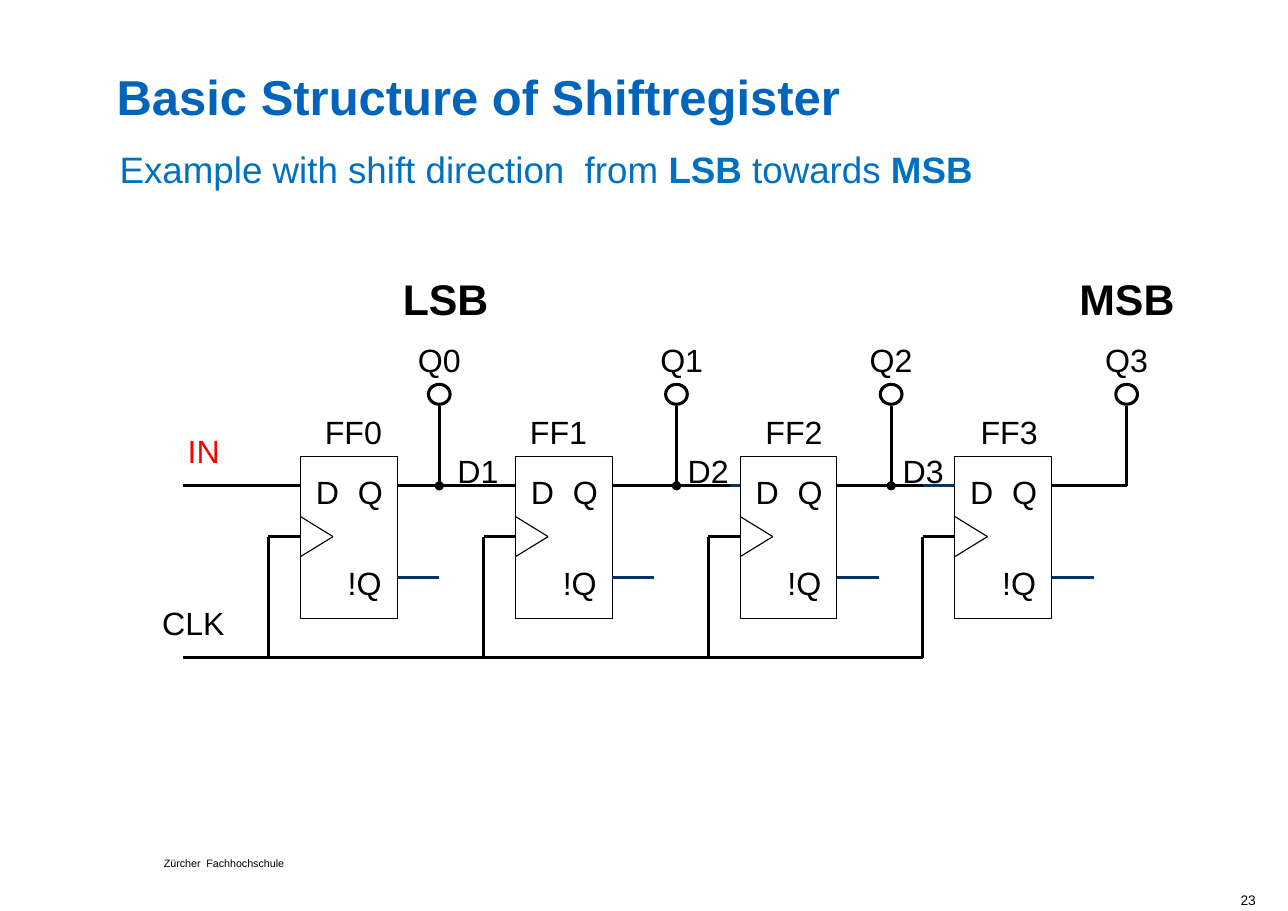
import pptx
import pptx.dml.color
import pptx.enum.shapes
import pptx.enum.text
import pptx.oxml
import pptx.oxml.ns
import pptx.util

Cm = pptx.util.Cm
Pt = pptx.util.Pt
Kind = pptx.enum.shapes.MSO_SHAPE
Align = pptx.enum.text.PP_ALIGN

HUES = {
    "black": "000000",
    "navy": "003366",
    "red": "FF0000",
    "title": "0064BA",
    "sub": "0070C0",
}

# Heights of the rows in the circuit, in cm
DATA, CLOCK, NOTQ, BUS = 11.2, 12.37, 13.31, 15.16
TOP, WIDE, TALL = 10.52, 2.23, 3.73
STUB, LEAD = 0.97, 0.74
TAPTOP = 9.35
START = 4.22

# Columns: left edge of each flip-flop, and each output tap
CHIPS = [6.93, 11.89, 17.07, 22.02]
TAPS = [10.13, 15.6, 20.55, 25.98]

# Labels: text, centre, top, width, colour
LABELS = [
    ("Q0", 10.13, 7.7, 3.45, "black"),
    ("Q1", 15.72, 7.7, 1.73, "black"),
    ("Q2", 20.55, 7.7, 1.98, "black"),
    ("Q3", 25.98, 7.7, 1.98, "black"),
    ("D1", 11.02, 10.26, 2.24, "black"),
    ("D2", 16.33, 10.26, 3.45, "black"),
    ("D3", 21.29, 10.26, 1.98, "black"),
    ("FF0", 8.15, 9.35, 3.45, "black"),
    ("FF1", 12.88, 9.35, 3.45, "black"),
    ("FF2", 18.31, 9.35, 3.45, "black"),
    ("FF3", 23.27, 9.35, 3.45, "black"),
    ("IN", 4.7, 9.8, 3.45, "red"),
    ("CLK", 4.46, 13.77, 2.46, "black"),
]


def rgb(hue):
    return pptx.dml.color.RGBColor.from_string(HUES[hue])


def text(slide, box, words, size, hue="black", bold=False, align=Align.LEFT,
         inset=(0, 0), wrap=True, pitch=None):
    """Add a text box; words is a string or a list of (string, bold)."""
    frame = slide.shapes.add_textbox(*map(Cm, box)).text_frame
    frame.word_wrap = wrap
    frame.margin_left = frame.margin_right = Cm(inset[0])
    frame.margin_top = frame.margin_bottom = Cm(inset[1])
    para = frame.paragraphs[0]
    para.alignment = align
    if pitch:
        para.line_spacing = Pt(pitch)
    parts = [(words, bold)] if isinstance(words, str) else words
    for part, strong in parts:
        run = para.add_run()
        run.text = part
        run.font.name = "Arial"
        run.font.size = Pt(size)
        run.font.bold = strong
        run.font.color.rgb = rgb(hue)


def label(slide, words, mid, top, wide, hue="black"):
    text(slide, (mid - wide / 2, top, wide, 1.12), words, 21, hue,
         align=Align.CENTER, inset=(0.28, 0.15))


def wire(slide, x1, y1, x2, y2, hue="black", width=2, dot=False):
    line = slide.shapes.add_connector(
        pptx.enum.shapes.MSO_CONNECTOR.STRAIGHT, Cm(x1), Cm(y1), Cm(x2), Cm(y2))
    line.line.width = Pt(width)
    line.line.color.rgb = rgb(hue)
    props = line._element.spPr
    if dot:
        head = pptx.oxml.parse_xml(
            '<a:headEnd %s type="oval"/>' % pptx.oxml.ns.nsdecls("a"))
        line.line._get_or_add_ln().append(head)
    props.append(pptx.oxml.parse_xml(
        "<a:effectLst %s/>" % pptx.oxml.ns.nsdecls("a")))


def outline(slide, kind, box, width):
    shape = slide.shapes.add_shape(kind, *map(Cm, box))
    shape.shadow.inherit = False
    shape.fill.background()
    shape.line.color.rgb = rgb("black")
    shape.line.width = Pt(width)


def chip(slide, x):
    """Draw one flip-flop with its pins and clock wedge."""
    outline(slide, Kind.RECTANGLE, (x, TOP, WIDE, TALL), 0.75)
    label(slide, "Q", x + 1.61, 10.74, 1.24)
    label(slide, "D", x + 0.62, 10.74, 1.24)
    label(slide, "!Q", x + 1.48, 12.83, 1.98)
    for y in (NOTQ, DATA):
        wire(slide, x + WIDE, y, x + WIDE + STUB, y, "navy")
    for y in (CLOCK - 0.46, CLOCK + 0.46):
        wire(slide, x, y, x + 0.75, CLOCK, width=0.75)
    for y in (CLOCK, DATA):
        wire(slide, x - LEAD, y, x, y, "navy")


def tap(slide, x, dot):
    wire(slide, x, DATA, x, TAPTOP, dot=dot)
    outline(slide, Kind.OVAL, (x - 0.25, 8.86, 0.5, 0.46), 2)


def main():
    deck = pptx.Presentation()
    deck.slide_width, deck.slide_height = Cm(29.7), Cm(21)
    slide = deck.slides.add_slide(deck.slide_layouts[6])

    # Headings
    text(slide, (2.69, 1.75, 22.58, 1.98), "Basic Structure of Shiftregister",
         32, "title", bold=True, pitch=32)
    text(slide, (2.51, 3.15, 20.37, 1.3),
         [("Example with shift direction  from ", False), ("LSB ", True),
          ("towards ", False), ("MSB", True)],
         24, "sub", inset=(0.25, 0.13), wrap=False, pitch=32)
    for words, x, wide in (("LSB", 9.04, 2.51), ("MSB", 24.64, 2.72)):
        text(slide, (x, 6.22, wide, 1.4), words, 28, bold=True,
             inset=(0.25, 0.13), wrap=False, pitch=32)

    # Flip-flops and data wires; the last chip lies over its input wire
    for x in CHIPS[:3]:
        chip(slide, x)
    ends = [CHIPS[0], CHIPS[1], 16.84, CHIPS[3]]
    for x1, x2 in zip([START] + [x + WIDE for x in CHIPS], ends):
        wire(slide, x1, DATA, x2, DATA)
    chip(slide, CHIPS[3])
    wire(slide, CHIPS[3] + WIDE, DATA, TAPS[3], DATA)

    # Clock bus and its branches
    wire(slide, START, BUS, CHIPS[3] - LEAD, BUS)
    for x in CHIPS:
        wire(slide, x - LEAD, CLOCK, x - LEAD, BUS)
        wire(slide, x - LEAD, CLOCK, x, CLOCK)

    # Output taps and labels
    for x in TAPS:
        tap(slide, x, dot=x != TAPS[-1])
    for item in LABELS:
        label(slide, *item)

    # Footer
    text(slide, (3.78, 19.79, 3.35, 0.25), "Zürcher  Fachhochschule", 7, pitch=7)
    text(slide, (25.58, 20.55, 3.38, 0.4), "23", 9, align=Align.RIGHT)

    deck.save("out.pptx")


if __name__ == "__main__":
    main()
